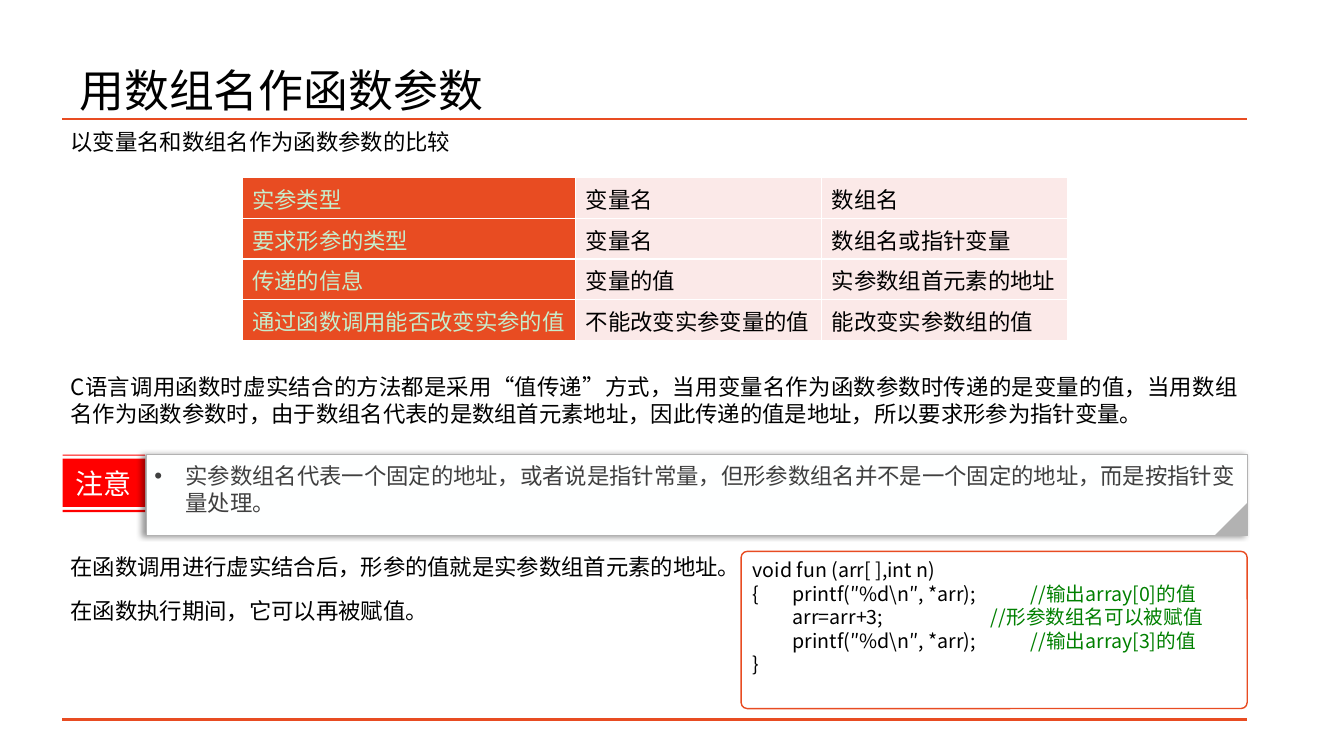
from lxml.etree import SubElement
from pptx import Presentation
from pptx.dml.color import RGBColor
from pptx.enum.shapes import MSO_CONNECTOR as Connector, MSO_SHAPE as Shape
from pptx.enum.text import MSO_ANCHOR as Anchor, PP_ALIGN as Align
from pptx.oxml.ns import qn
from pptx.util import Cm, Inches, Pt

FONT = "Noto Sans CJK SC"
COLORS = {
    "page": "FFFFFF", "text": "000000", "accent": "E84C22", "header": "C7EDCC",
    "cell": "FBE9E8", "alert": "FF0000", "paper": "FEFFFF", "fold": "B2B2B2",
    "note": "404040", "comment": "008000",
}
PAGE_W, PAGE_H = 13.33, 7.5
LEFT, WIDTH = 0.62, 11.75
RIGHT = LEFT + WIDTH
INSET = 0.08

COMPARISON = [
    ["实参类型", "变量名", "数组名"],
    ["要求形参的类型", "变量名", "数组名或指针变量"],
    ["传递的信息", "变量的值", "实参数组首元素的地址"],
    ["通过函数调用能否改变实参的值", "不能改变实参变量的值", "能改变实参数组的值"],
]
BODY = [
    ((LEFT, 1.19, WIDTH, 0.5), ["以变量名和数组名作为函数参数的比较"]),
    ((LEFT, 3.62, WIDTH, 0.82), [
        "C语言调用函数时虚实结合的方法都是采用“值传递”方式，当用变量名作为函数参数时传递的是变量的值，"
        "当用数组名作为函数参数时，由于数组名代表的是数组首元素地址，因此传递的值是地址，"
        "所以要求形参为指针变量。"]),
    ((LEFT, 5.41, 6.9, 1), [
        "在函数调用进行虚实结合后，形参的值就是实参数组首元素的地址。",
        "在函数执行期间，它可以再被赋值。"]),
]
NOTE = "实参数组名代表一个固定的地址，或者说是指针常量，但形参数组名并不是一个固定的地址，而是按指针变量处理。"
CODE = [
    ("void fun (arr[ ],int n)", ""),
    ("{\tprintf(″%d\\n″, *arr);\t\t", "//输出array[0]的值"),
    ("\tarr=arr+3;\t\t\t", "//形参数组名可以被赋值"),
    ("\tprintf(″%d\\n″, *arr);\t\t", "//输出array[3]的值"),
    ("}", ""),
]


def color(name):
    return RGBColor.from_string(COLORS[name])


def inches(box):
    return [Inches(length) for length in box]


def style(para, size, name="text", align=Align.LEFT):
    para.alignment = align
    para.font.size = Pt(size)
    para.font.name = FONT
    para.font.color.rgb = color(name)
    defaults = para._p.get_or_add_pPr().find(qn("a:defRPr"))
    SubElement(defaults, qn("a:ea"), typeface=FONT)


def set_frame(shape, anchor=Anchor.TOP, inset=None):
    frame = shape.text_frame
    frame.word_wrap = True
    frame.vertical_anchor = anchor
    if inset is not None:
        frame.margin_left = frame.margin_top = Inches(inset)
        frame.margin_right = frame.margin_bottom = Inches(inset)
    return frame


def paint(shape, fill, line=None, width=1):
    shape.shadow.inherit = False
    shape.fill.solid()
    shape.fill.fore_color.rgb = color(fill)
    if line:
        shape.line.color.rgb = color(line)
        shape.line.width = Pt(width)
    else:
        shape.line.fill.background()


def add_title(page, box):
    frame = set_frame(page.shapes.add_textbox(*inches(box)), Anchor.MIDDLE)
    frame.text = "用数组名作函数参数"
    style(frame.paragraphs[0], 32)


def add_rule(page, y):
    rule = page.shapes.add_connector(
        Connector.STRAIGHT, *inches((LEFT, y, RIGHT, y)))
    rule.line.color.rgb = color("accent")
    rule.line.width = Pt(2)
    SubElement(rule._element.spPr, qn("a:effectLst"))


def add_body(page, box, lines):
    frame = set_frame(page.shapes.add_textbox(*inches(box)), inset=INSET)
    for index, line in enumerate(lines):
        para = frame.add_paragraph() if index else frame.paragraphs[0]
        para.text = line
        para.space_before = Pt(6 if index else 0)
        para.space_after = Pt(6)
        style(para, 16, align=Align.JUSTIFY)


def add_comparison(page, box):
    table = page.shapes.add_table(4, 3, *inches(box)).table
    table.first_row = table.horz_banding = False
    for column, width in zip(table.columns, (3.31, 2.44, 2.44)):
        column.width = Inches(width)
    for row, texts in enumerate(COMPARISON):
        for column, text in enumerate(texts):
            cell = table.cell(row, column)
            cell.text = text
            cell.margin_right = Inches(0.05)
            # Borders come before the fill
            for side in ("lnL", "lnR", "lnT", "lnB"):
                border = SubElement(cell._tc.get_or_add_tcPr(), qn("a:" + side), w=str(Pt(1)))
                solid = SubElement(border, qn("a:solidFill"))
                SubElement(solid, qn("a:srgbClr"), val=COLORS["page"])
            cell.fill.solid()
            cell.fill.fore_color.rgb = color("cell" if column else "accent")
            style(cell.text_frame.paragraphs[0], 16, "text" if column else "header")


def add_label(page, box):
    left, top, width, height = box
    bands = [(0, 0.01), (0.04, 0.52), (0.55, height)]
    outline = None
    for start, end in bands:
        corners = [inches((left + x, top + y)) for x, y in
                   ((0, start), (width, start), (width, end), (0, end))]
        if outline is None:
            outline = page.shapes.build_freeform(*corners[0])
        else:
            outline.move_to(*corners[0])
        outline.add_line_segments(corners[1:], close=True)
    label = outline.convert_to_shape()
    paint(label, "alert")
    frame = set_frame(label, Anchor.MIDDLE, 0)
    frame.text = "注意"
    style(frame.paragraphs[0], 20, "paper", Align.CENTER)


def add_note(page, box):
    left, top, width, height = box
    note = page.shapes.add_shape(Shape.RECTANGLE, *inches(box))
    paint(note, "paper", "fold", 0.75)
    # Soft shadow to the left
    effects = note._element.spPr.find(qn("a:effectLst"))
    shadow = SubElement(effects, qn("a:outerShdw"), blurRad=str(Pt(4)),
                        dist=str(Pt(3)), dir="10800000", algn="r", rotWithShape="0")
    tint = SubElement(shadow, qn("a:srgbClr"), val=COLORS["text"])
    SubElement(tint, qn("a:alpha"), val="40000")
    # Bulleted text
    frame = set_frame(note, inset=INSET)
    frame.margin_right = Inches(0.07)
    para = frame.paragraphs[0]
    para.text = NOTE
    properties = para._p.get_or_add_pPr()
    properties.set("marL", str(Inches(0.31)))
    properties.set("indent", str(-Inches(0.31)))
    SubElement(properties, qn("a:buFont"), typeface="Arial")
    SubElement(properties, qn("a:buChar"), char="•")
    style(para, 16, "note")
    # Folded corner
    side = 0.32
    corner = page.shapes.add_shape(Shape.RIGHT_TRIANGLE, *inches(
        (left + width - side, top + height - side, side, side)))
    corner.rotation = 270
    paint(corner, "fold")


def add_code(page, box):
    panel = page.shapes.add_shape(Shape.ROUNDED_RECTANGLE, *inches(box))
    panel.adjustments[0] = 0.04
    paint(panel, "page", "accent")
    frame = set_frame(panel)
    for index, (code, comment) in enumerate(CODE):
        para = frame.add_paragraph() if index else frame.paragraphs[0]
        stops = SubElement(para._p.get_or_add_pPr(), qn("a:tabLst"))
        for stop in range(1, 9):
            SubElement(stops, qn("a:tab"), pos=str(Cm(stop)), algn="l")
        style(para, 14)
        para.add_run().text = code
        if comment:
            span = para.add_run()
            span.text = comment
            span.font.color.rgb = color("comment")


def main():
    deck = Presentation()
    deck.slide_width, deck.slide_height = Inches(PAGE_W), Inches(PAGE_H)
    page = deck.slides.add_slide(deck.slide_layouts[6])
    page.background.fill.solid()
    page.background.fill.fore_color.rgb = color("page")
    add_title(page, (0.69, 0.37, 11.5, 1.04))
    for y in (1.18, 7.14):
        add_rule(page, y)
    for box, lines in BODY:
        add_body(page, box, lines)
    add_comparison(page, (2.4, 1.76, 8.19, 1.62))
    add_label(page, (LEFT, 4.51, 0.82, 0.57))
    add_note(page, (1.45, 4.51, RIGHT - 1.45, 0.8))
    add_code(page, (7.35, 5.47, RIGHT - 7.35, 1.56))
    deck.save("out.pptx")


if __name__ == "__main__":
    main()
